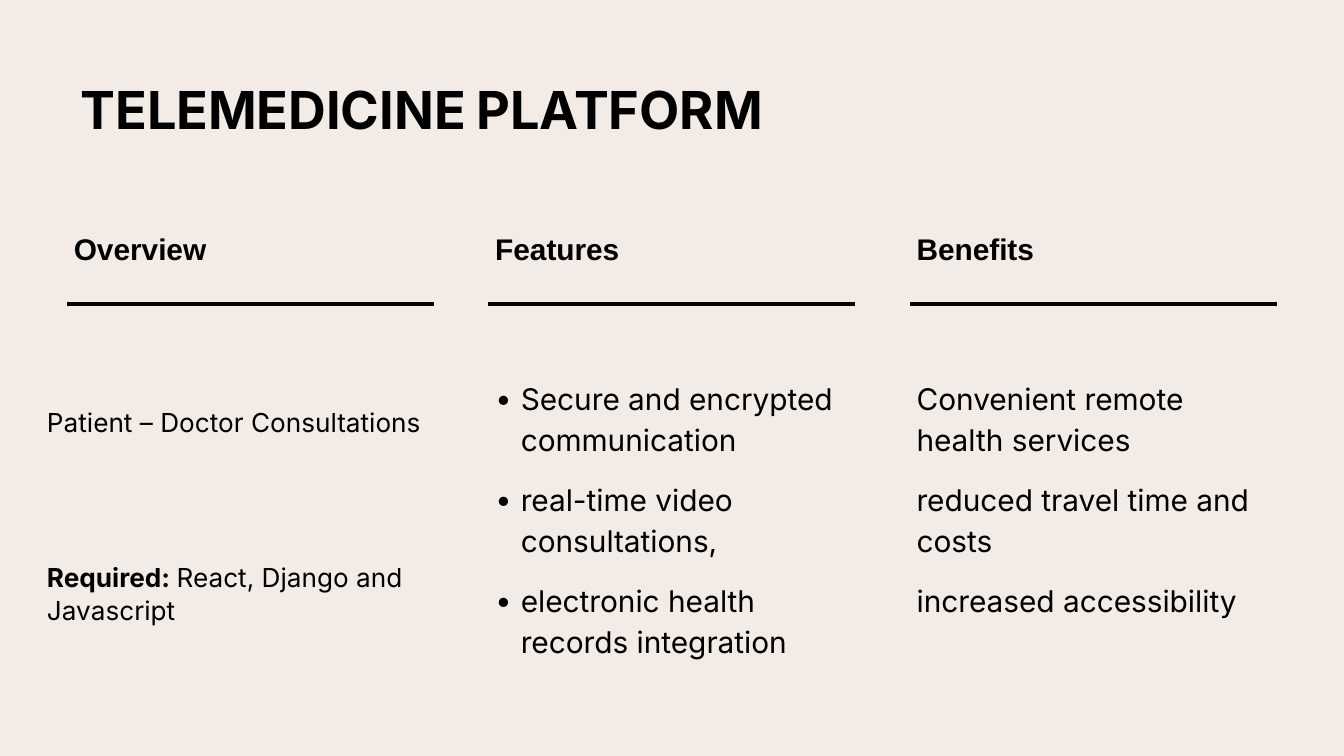
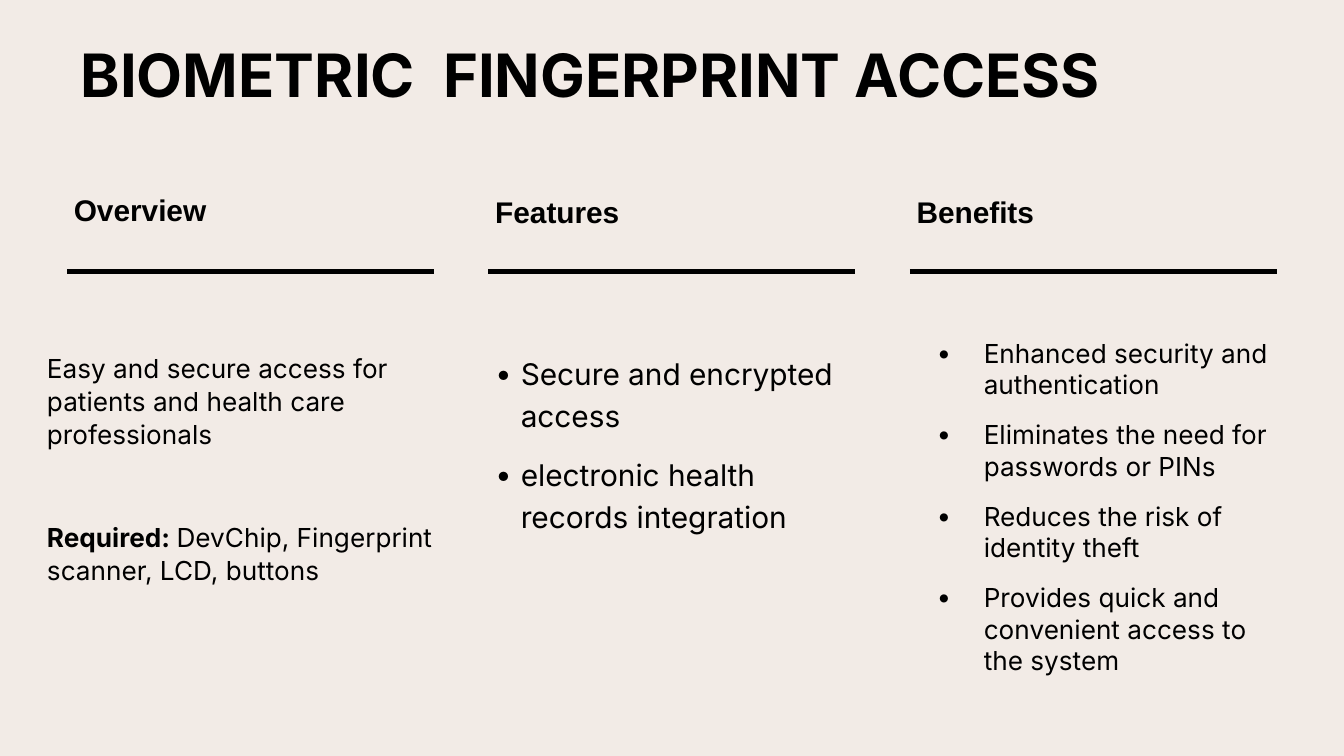
import pptx
import pptx.dml.color
import pptx.enum.shapes
import pptx.enum.text
import pptx.oxml.ns
import pptx.util
from lxml import etree

Inches = pptx.util.Inches
Pt = pptx.util.Pt
Anchor = pptx.enum.text.MSO_ANCHOR

BLACK = pptx.dml.color.RGBColor(0x00, 0x00, 0x00)
CREAM = pptx.dml.color.RGBColor(0xF2, 0xEB, 0xE6)
BODY_FONT = "Inter"
HEADING_FONT = "Arial"

LEFT = 0.5
CONTENT_WIDTH = 9
COLUMN_WIDTH = 2.73
COLUMN_STEP = (CONTENT_WIDTH - COLUMN_WIDTH) / 2
HEADING_HEIGHT = 0.79
TITLE_HEIGHT = 0.63

# Body styles; "outset" widens the box beyond its column (left, right).
OVERVIEW = dict(size=14, line_spacing=1.05, outset=(0.2, 0.2), insets=(0.05, 0.2, 0.15, 0.1))
PLAIN = dict(size=16, line_spacing=1.15)
BULLETED = dict(PLAIN, indent=(0.19, -0.19))
WIDE_BULLETED = dict(size=14, indent=(0.5, -0.35), outset=(0, 0.2))

TELEMEDICINE = dict(
    title=[("TELEMEDICINE", {}), (" ", {"size": 24}), ("PLATFORM", {})],
    title_top=0.49, title_size=28, rule_top=2.26,
    columns=[
        dict(heading="Overview", heading_top=1.34, top=2.81, height=2.39,
             style=dict(OVERVIEW, space_before=55.6),
             paragraphs=["Patient – Doctor Consultations",
                         [("Required: ", {"bold": True}), ("React, Django and Javascript", {})]]),
        dict(heading="Features", heading_top=1.34, top=2.59, height=2.39, style=BULLETED,
             paragraphs=["Secure and encrypted communication",
                         "real-time video consultations,",
                         "electronic health records integration"]),
        dict(heading="Benefits", heading_top=1.34, top=2.59, height=2.39, style=PLAIN,
             paragraphs=["Convenient remote health services",
                         "reduced travel time and costs",
                         "increased accessibility"]),
    ])

BIOMETRIC = dict(
    title="BIOMETRIC  FINGERPRINT ACCESS",
    title_top=0.23, title_size=32, rule_top=2.02,
    columns=[
        dict(heading="Overview", heading_top=1.05, top=2.41, height=2.39,
             style=dict(OVERVIEW, space_before=27.8),
             paragraphs=["Easy and secure access for patients and health care professionals",
                         [("Required: ", {"bold": True}),
                          ("DevChip, Fingerprint scanner, LCD, buttons", {})]]),
        dict(heading="Features", heading_top=1.07, top=2.41, height=2.57, style=BULLETED,
             paragraphs=["Secure and encrypted access",
                         "electronic health records integration"]),
        dict(heading="Benefits", heading_top=1.07, top=2.31, height=2.75, style=WIDE_BULLETED,
             paragraphs=["Enhanced security and authentication",
                         "Eliminates the need for passwords or PINs",
                         "Reduces the risk of identity theft",
                         "Provides quick and convenient access to the system"]),
    ])


def add_bullet(paragraph, indent):
    properties = paragraph._p.get_or_add_pPr()
    margin, hanging = indent
    properties.set("marL", str(Inches(margin)))
    properties.set("indent", str(Inches(hanging)))
    qn = pptx.oxml.ns.qn
    color = etree.SubElement(properties, qn("a:buClr"))
    etree.SubElement(color, qn("a:srgbClr"), val=str(BLACK))
    etree.SubElement(properties, qn("a:buFont"), typeface=BODY_FONT)
    etree.SubElement(properties, qn("a:buChar"), char="•")


def write_text(shape, paragraphs, size, font=BODY_FONT, bold=False, anchor=Anchor.TOP,
               insets=(0.05, 0.2, 0.1, 0.1), line_spacing=1.0, space_before=0,
               space_after=0, indent=None):
    """Fill a shape; a paragraph is a string or a list of (text, format) runs."""
    frame = shape.text_frame
    frame.word_wrap = True
    frame.auto_size = pptx.enum.text.MSO_AUTO_SIZE.NONE
    frame.vertical_anchor = anchor
    (frame.margin_left, frame.margin_top,
     frame.margin_right, frame.margin_bottom) = map(Inches, insets)
    for index, content in enumerate(paragraphs):
        paragraph = frame.add_paragraph() if index else frame.paragraphs[0]
        paragraph.alignment = pptx.enum.text.PP_ALIGN.LEFT
        paragraph.line_spacing = line_spacing
        paragraph.space_before = Pt(space_before if index else 0)
        paragraph.space_after = Pt(space_after)
        if indent:
            add_bullet(paragraph, indent)
        runs = [(content, {})] if isinstance(content, str) else content
        for text, run_format in runs:
            run = paragraph.add_run()
            run.text = text
            run.font.name = font
            run.font.size = Pt(run_format.get("size", size))
            run.font.bold = run_format.get("bold", bold)
            run.font.color.rgb = BLACK


def add_text(slide, left, top, width, height, paragraphs, **text_format):
    box = slide.shapes.add_textbox(*map(Inches, (left, top, width, height)))
    write_text(box, paragraphs, **text_format)


def add_rule(slide, left, top, width):
    rule = slide.shapes.add_connector(
        pptx.enum.shapes.MSO_CONNECTOR.STRAIGHT,
        *map(Inches, (left, top, left + width, top)))
    rule.line.color.rgb = BLACK
    rule.line.width = Pt(2.25)
    etree.SubElement(rule._element.spPr, pptx.oxml.ns.qn("a:effectLst"))


def place_title(slide, text, top, size):
    title = slide.shapes.title
    title.left, title.top = Inches(LEFT), Inches(top)
    title.width, title.height = Inches(CONTENT_WIDTH), Inches(TITLE_HEIGHT)
    write_text(title, [text], size=size, bold=True, anchor=Anchor.MIDDLE, insets=(0.1,) * 4)


def add_column(slide, left, rule_top, column):
    """Place a heading, the rule below it and the body text of one column."""
    add_text(slide, left, column["heading_top"], COLUMN_WIDTH, HEADING_HEIGHT,
             [column["heading"]], size=16, font=HEADING_FONT, bold=True,
             anchor=Anchor.BOTTOM, insets=(0.05, 0, 0.15, 0.15))
    add_rule(slide, left, rule_top, COLUMN_WIDTH)
    style = dict(column["style"])
    before, after = style.pop("outset", (0, 0))
    add_text(slide, left - before, column["top"], COLUMN_WIDTH + before + after,
             column["height"], column["paragraphs"], space_after=10, **style)


def add_column_slide(presentation, content):
    slide = presentation.slides.add_slide(presentation.slide_layouts.get_by_name("Title Only"))
    place_title(slide, content["title"], content["title_top"], content["title_size"])
    for index, column in enumerate(content["columns"]):
        add_column(slide, LEFT + index * COLUMN_STEP, content["rule_top"], column)


def main():
    presentation = pptx.Presentation()
    presentation.slide_width = Inches(10)
    presentation.slide_height = Inches(10 * 9 / 16)
    background = presentation.slide_master.background.fill
    background.solid()
    background.fore_color.rgb = CREAM
    for content in (TELEMEDICINE, BIOMETRIC):
        add_column_slide(presentation, content)
    presentation.save("out.pptx")


if __name__ == "__main__":
    main()
